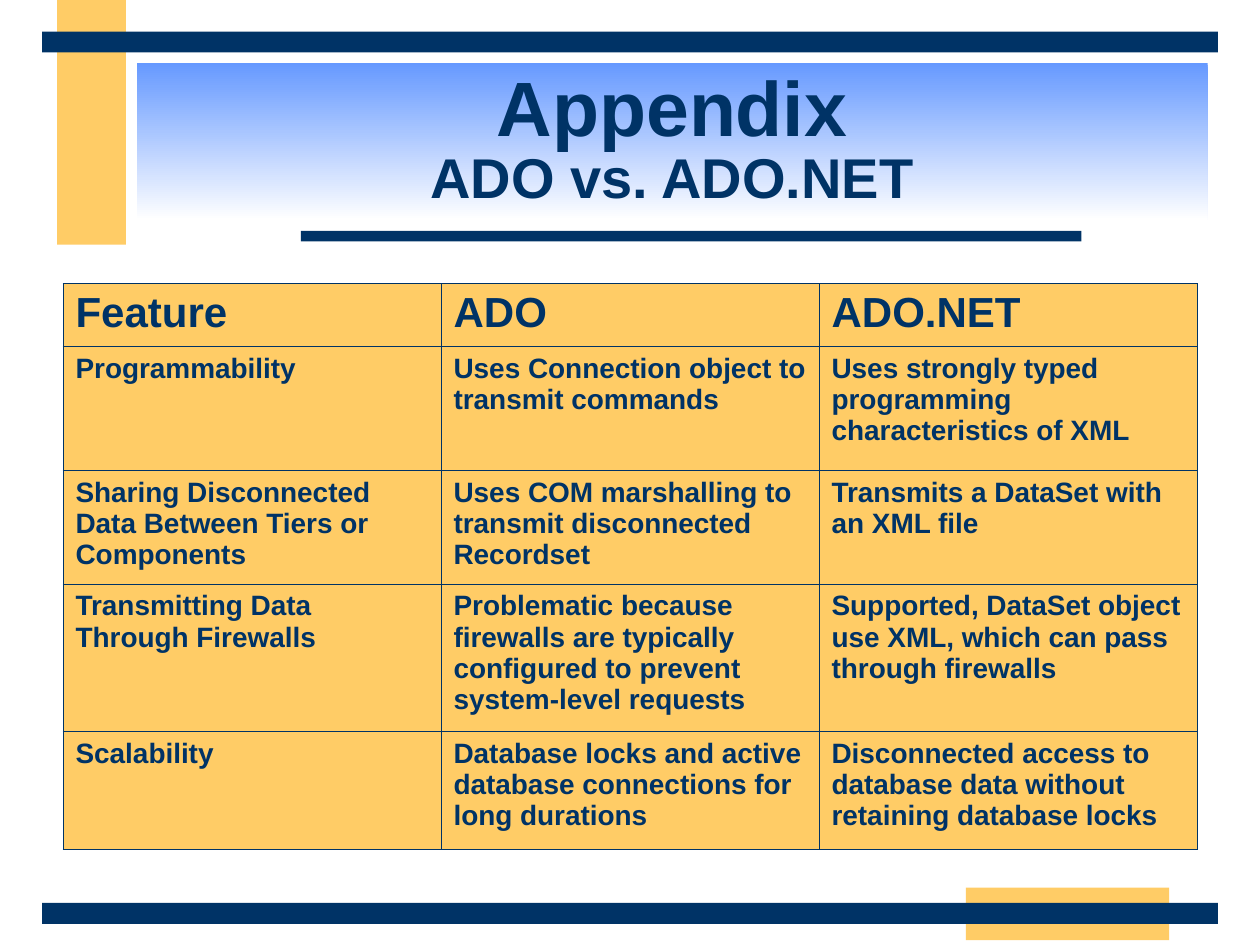
import pptx
import pptx.util
import pptx.dml.color
import pptx.enum.shapes
import pptx.enum.text
import lxml.etree
import pptx.oxml.ns

HUES = {"navy": "003366", "gold": "FFCC66", "blue": "6699FF", "white": "FFFFFF"}
COLS, ROWS = 120, 90
BARS = [
    (5.45, 0, 6.55, 23.3, "gold"),
    (92, 84.55, 19.35, 5, "gold"),
    (28.65, 22, 74.35, 1, "navy"),
    (4, 86, 112, 2, "navy"),
    (4, 3, 112, 2, "navy"),
]
TITLE = [("Appendix", 44), ("ADO vs. ADO.NET", 32)]
TEXTS = [
    ["Feature", "ADO", "ADO.NET"],
    ["Programmability",
     "Uses Connection object to transmit commands",
     "Uses strongly typed programming characteristics of XML"],
    ["Sharing Disconnected Data Between Tiers or Components",
     "Uses COM marshalling to transmit disconnected Recordset",
     "Transmits a DataSet with an XML file"],
    ["Transmitting Data Through Firewalls",
     "Problematic because firewalls are typically configured to prevent system-level requests",
     "Supported, DataSet object use XML, which can pass through firewalls"],
    ["Scalability",
     "Database locks and active database connections for long durations",
     "Disconnected access to database data without retaining database locks"],
]
HEIGHTS = [6, 11.82, 10.84, 14.04, 11.23]
FONT = {"name": "Arial", "bold": True}

deck = pptx.Presentation()
deck.slide_width = pptx.util.Inches(10)
deck.slide_height = pptx.util.Inches(7.5)
slide = deck.slides.add_slide(deck.slide_layouts[6])
unit = deck.slide_width / COLS
tall = deck.slide_height / ROWS


def place(x, y, w, h):
    return [int(n * u) for n, u in ((x, unit), (y, tall), (w, unit), (h, tall))]


def style(font, size):
    for key, value in {**FONT, "size": pptx.util.Pt(size)}.items():
        setattr(font, key, value)
    font.color.rgb = pptx.dml.color.RGBColor.from_string(HUES["navy"])


for *box, hue in BARS:
    bar = slide.shapes.add_shape(pptx.enum.shapes.MSO_SHAPE.RECTANGLE, *place(*box))
    bar.shadow.inherit = False
    bar.line.fill.background()
    bar.fill.solid()
    bar.fill.fore_color.rgb = pptx.dml.color.RGBColor.from_string(HUES[hue])

title = slide.shapes.add_textbox(*place(13.02, 6, 102, 15))
title.fill.gradient()
title.fill.gradient_angle = 270
for stop, hue, point in zip(title.fill.gradient_stops, ("blue", "white"), (0, 1)):
    stop.color.rgb = pptx.dml.color.RGBColor.from_string(HUES[hue])
    stop.position = point
frame = title.text_frame
frame.word_wrap = True
frame.vertical_anchor = pptx.enum.text.MSO_ANCHOR.MIDDLE
para = frame.paragraphs[0]
para.alignment = pptx.enum.text.PP_ALIGN.CENTER
para.line_spacing = 0.85
for rank, (text, size) in enumerate(TITLE):
    if rank:
        para.add_line_break()
    run = para.add_run()
    run.text = text
    style(run.font, size)

table = slide.shapes.add_table(
    len(TEXTS), len(TEXTS[0]), *place(6, 27, 108, sum(HEIGHTS))).table
for key, value in {"first_row": False, "horz_banding": False}.items():
    setattr(table, key, value)
for col in table.columns:
    col.width = int(36 * unit)

for r, (texts, height) in enumerate(zip(TEXTS, HEIGHTS)):
    table.rows[r].height = int(height * tall)
    for c, text in enumerate(texts):
        cell = table.cell(r, c)
        cell.text = text
        style(cell.text_frame.paragraphs[0].runs[0].font, 16 if r else 24)
        cell.fill.solid()
        cell.fill.fore_color.rgb = pptx.dml.color.RGBColor.from_string(HUES["gold"])
        props = cell._tc.get_or_add_tcPr()
        for rank, side in enumerate("LRTB"):
            edge = lxml.etree.Element(pptx.oxml.ns.qn("a:ln" + side), w=str(pptx.util.Pt(0.45)))
            fill = lxml.etree.SubElement(edge, pptx.oxml.ns.qn("a:solidFill"))
            lxml.etree.SubElement(fill, pptx.oxml.ns.qn("a:srgbClr"), val=HUES["navy"])
            props.insert(rank, edge)

deck.save("out.pptx")
